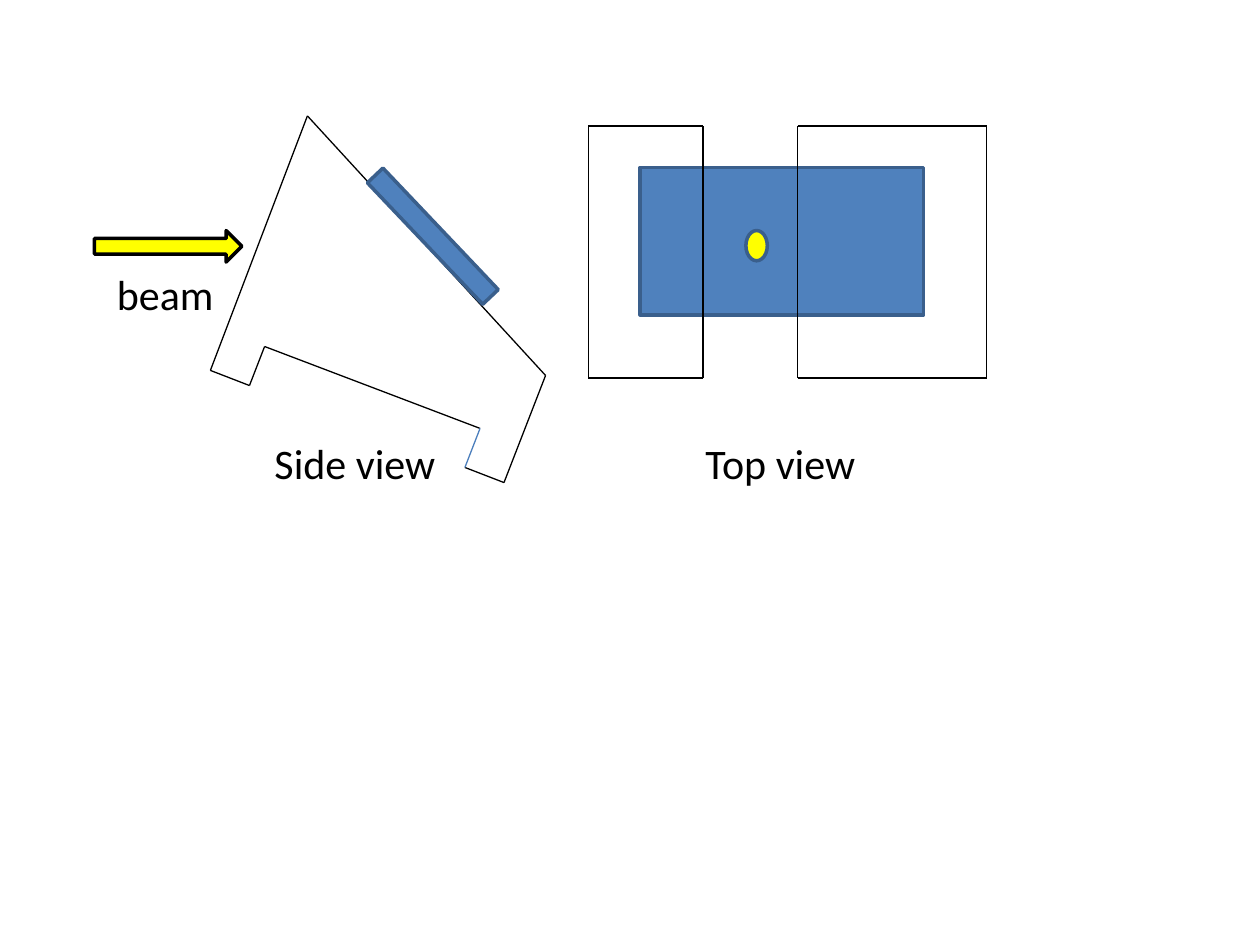
from dataclasses import dataclass
from itertools import pairwise

from lxml.etree import SubElement
from pptx import Presentation
from pptx.dml.color import RGBColor
from pptx.enum.shapes import MSO_CONNECTOR, MSO_SHAPE
from pptx.enum.text import MSO_AUTO_SIZE
from pptx.oxml.ns import qn
from pptx.util import Inches, Pt


@dataclass(frozen=True)
class Theme:
    """Colours, font and sizes of the slide."""
    black: str = "000000"
    blue: str = "4F81BD"
    dark_blue: str = "3A5F8C"
    edge_blue: str = "4B7EBC"
    yellow: str = "FFFF00"
    font: str = "Calibri"
    label_size: float = 24
    thin: float = 0.75
    thick: float = 2


class Sketch:
    """Draws elements on one page in one theme."""

    def __init__(self, page, theme):
        """Keep the page and the theme."""
        self.page = page
        self.theme = theme

    def line(self, start, end, color=None):
        """Draw a thin straight line between two points."""
        points = [Inches(value) for value in (*start, *end)]
        line = self.page.shapes.add_connector(MSO_CONNECTOR.STRAIGHT, *points)
        line.line.color.rgb = RGBColor.from_string(color or self.theme.black)
        line.line.width = Pt(self.theme.thin)
        SubElement(line._element.spPr, qn("a:effectLst"))

    def shape(self, kind, place, fill, outline, rotation=0):
        """Draw a filled preset shape at left, top, width, height."""
        shape = self.page.shapes.add_shape(kind, *map(Inches, place))
        shape.shadow.inherit = False
        shape.fill.solid()
        shape.fill.fore_color.rgb = RGBColor.from_string(fill)
        shape.line.color.rgb = RGBColor.from_string(outline)
        shape.line.width = Pt(self.theme.thick)
        shape.rotation = rotation

    def label(self, text, left, top, width):
        """Write a one-line label."""
        box = self.page.shapes.add_textbox(*map(Inches, (left, top, width, 0.5)))
        box.text_frame.word_wrap = False
        box.text_frame.auto_size = MSO_AUTO_SIZE.SHAPE_TO_FIT_TEXT
        span = box.text_frame.paragraphs[0].add_run()
        span.text = text
        span.font.name = self.theme.font
        span.font.size = Pt(self.theme.label_size)
        span.font.color.rgb = RGBColor.from_string(self.theme.black)


def draw_side_view(sketch):
    """Draw the wedge holder with its tilted target and the beam."""
    theme = sketch.theme
    notch = ((3.81, 3.4), (3.69, 3.71))
    holder = [notch[1], (4, 3.83), (4.33, 2.98), (2.44, 0.92), (1.67, 2.94),
              (1.98, 3.06), (2.1, 2.75), notch[0]]
    for start, end in pairwise(holder):
        sketch.line(start, end)
    sketch.line(*notch, theme.edge_blue)
    sketch.shape(MSO_SHAPE.RIGHT_ARROW, (0.75, 1.83, 1.17, 0.25), theme.yellow, theme.black)
    sketch.shape(MSO_SHAPE.RECTANGLE, (2.77, 1.79, 1.33, 0.17), theme.blue, theme.dark_blue, 46.5)


def draw_top_view(sketch):
    """Draw the target, the beam spot and the two holder frames."""
    theme = sketch.theme
    top, bottom = 1, 3
    sketch.shape(MSO_SHAPE.RECTANGLE, (5.08, 1.33, 2.25, 1.17), theme.blue, theme.dark_blue)
    for left, right in ((4.67, 5.58), (6.33, 7.83)):
        corners = [(left, top), (right, top), (right, bottom), (left, bottom), (left, top)]
        for start, end in pairwise(corners):
            sketch.line(start, end)
    sketch.shape(MSO_SHAPE.OVAL, (5.92, 1.83, 0.17, 0.24), theme.yellow, theme.dark_blue)


def main():
    """Build and save the deck."""
    deck = Presentation()
    deck.slide_width, deck.slide_height = Inches(10), Inches(7.5)
    blank_layout = deck.slide_layouts[6]
    sketch = Sketch(deck.slides.add_slide(blank_layout), Theme())
    draw_side_view(sketch)
    draw_top_view(sketch)
    sketch.label("Top view", 5.5, 3.42, 1.4)
    sketch.label("Side view", 2.08, 3.42, 1.49)
    sketch.label("beam", 0.83, 2.08, 0.98)
    deck.save("out.pptx")


main()
